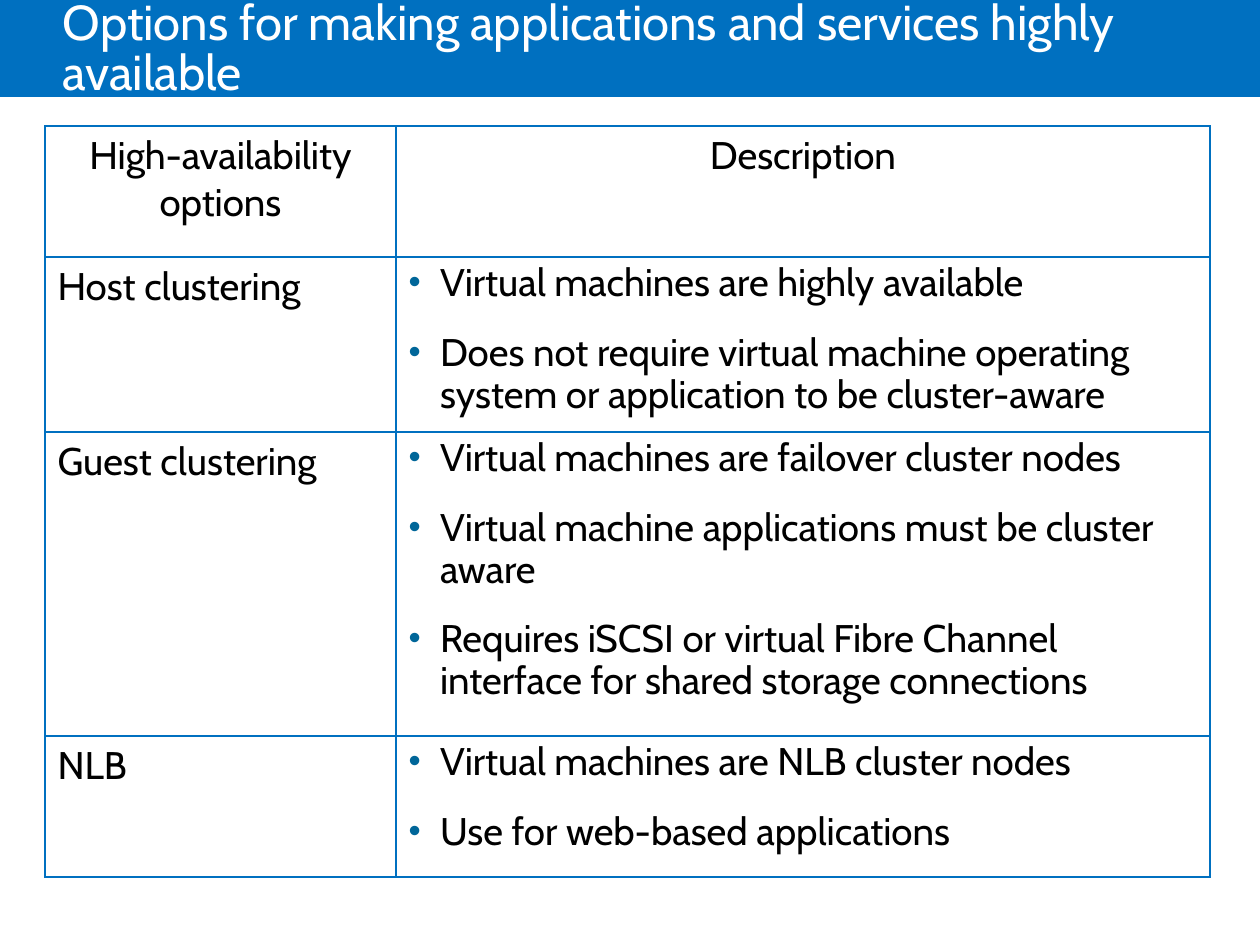
from pptx import Presentation
from pptx import util as u
from pptx.dml.color import RGBColor
from pptx.enum import shapes, text
from pptx.oxml import parse_xml
from pptx.oxml.ns import nsdecls

SCALE = 914400 / 126  # EMU in one px
HUES = {"blue": "0070C0", "white": "FFFFFF", "black": "000000", "dot": "006699"}
LEFT, MID = text.PP_ALIGN.LEFT, text.PP_ALIGN.CENTER


def px(n):
    return u.Emu(round(n * SCALE))


def hue(name):
    return RGBColor.from_string(HUES[name])


def put(obj, vals):
    for key, val in vals.items():
        setattr(obj, key, val)


class Deck:
    face = "Cabin"
    body = 22
    edge = 1

    def __init__(self, wide, high):
        self.prs = Presentation()
        put(self.prs, {"slide_width": px(wide), "slide_height": px(high)})
        self.slide = self.prs.slides.add_slide(self.prs.slide_layouts[6])

    def label(self, para, words, size, color, **form):
        put(para, form)
        run = para.add_run()
        run.text = words
        put(run.font, {"name": self.face, "size": u.Pt(size)})
        run.font.color.rgb = hue(color)

    def band(self, *box):
        shape = self.slide.shapes.add_shape(
            shapes.MSO_SHAPE.RECTANGLE, *map(px, box))
        shape.shadow.inherit = False
        shape.fill.solid()
        shape.fill.fore_color.rgb = hue("blue")
        shape.line.fill.background()

    def title(self, words, *box):
        frame = self.slide.shapes.add_textbox(*map(px, box)).text_frame
        put(frame, {"word_wrap": True, "margin_left": 0,
                    "vertical_anchor": text.MSO_ANCHOR.MIDDLE})
        self.label(frame.paragraphs[0], words, 28, "white", line_spacing=0.85)

    def border(self, cell):
        props = cell._tc.get_or_add_tcPr()
        for side in "LRTB":
            props.append(parse_xml(
                f'<a:ln{side} {nsdecls("a")} w="{u.Pt(self.edge)}"><a:solidFill>'
                f'<a:srgbClr val="{HUES["blue"]}"/></a:solidFill></a:ln{side}>'))

    def bullet(self, para):
        props = para._p.get_or_add_pPr()
        dent = u.Inches(0.25)
        props.set("marL", str(dent))
        props.set("indent", str(-dent))
        for tag in (f'buClr {nsdecls("a")}><a:srgbClr val="{HUES["dot"]}"/></a:buClr',
                    f'buSzPct {nsdecls("a")} val="90000"/',
                    f'buFont {nsdecls("a")} typeface="Arial"/',
                    f'buChar {nsdecls("a")} char="•"/'):
            props.append(parse_xml(f"<a:{tag}>"))

    def points(self, frame, items):
        for i, item in enumerate(items):
            para = frame.add_paragraph() if i else frame.paragraphs[0]
            gap = u.Pt(0.7 * self.body if i else 0)
            self.label(para, item, self.body, "black",
                       line_spacing=0.9, space_before=gap)
            self.bullet(para)

    def table(self, left, top, cols, rows, data):
        grid = self.slide.shapes.add_table(
            len(rows), len(cols), px(left), px(top),
            px(sum(cols)), px(sum(rows))).table
        put(grid, {"first_row": False, "horz_banding": False})
        for col, wide in zip(grid.columns, cols):
            col.width = px(wide)
        for r, (row, high) in enumerate(zip(grid.rows, rows)):
            row.height = px(high)
            for cell, words in zip(row.cells, data[r]):
                self.border(cell)
                cell.fill.solid()
                cell.fill.fore_color.rgb = hue("white")
                if isinstance(words, list):
                    self.points(cell.text_frame, words)
                else:
                    self.label(cell.text_frame.paragraphs[0], words, self.body,
                               "black", alignment=LEFT if r else MID)


ROWS = [
    ("High-availability options", "Description"),
    ("Host clustering", [
        "Virtual machines are highly available",
        "Does not require virtual machine operating system or application "
        "to be cluster-aware"]),
    ("Guest clustering", [
        "Virtual machines are failover cluster nodes",
        "Virtual machine applications must be cluster aware",
        "Requires iSCSI or virtual Fibre Channel interface for shared "
        "storage connections"]),
    ("NLB", [
        "Virtual machines are NLB cluster nodes",
        "Use for web-based applications"]),
]


def main():
    deck = Deck(1260, 945)
    # Heading
    deck.band(0, 0, 1260, 97)
    deck.title("Options for making applications and services highly available",
               63, 0, 1071, 102)
    # Options table
    deck.table(45, 126, (351, 814), (131, 175, 304, 141), ROWS)
    deck.prs.save("out.pptx")


if __name__ == "__main__":
    main()
